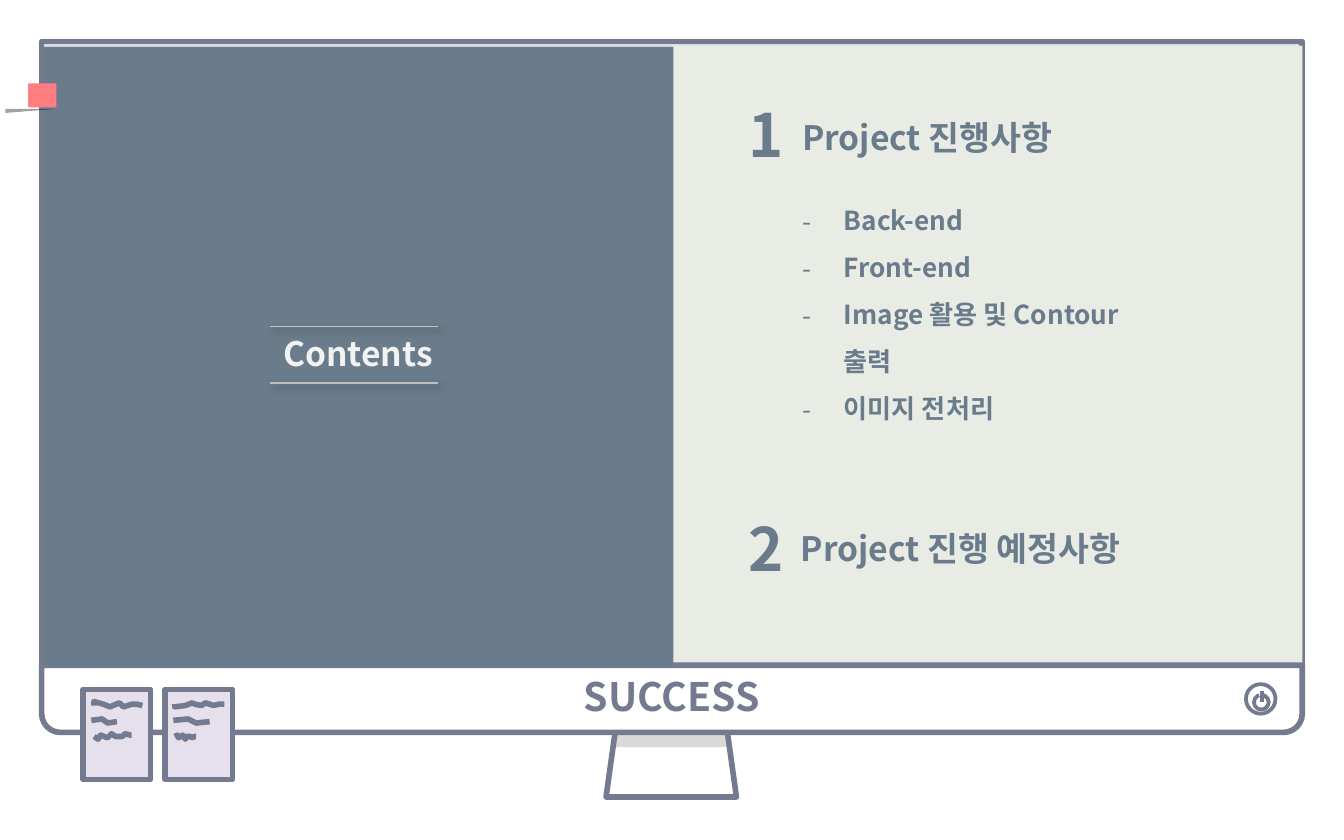
from pptx import Presentation
from pptx.dml.color import RGBColor
from pptx.enum.shapes import MSO_CONNECTOR, MSO_SHAPE
from pptx.enum.text import MSO_ANCHOR, MSO_AUTO_SIZE, PP_ALIGN
from pptx.oxml import parse_xml
from pptx.util import Inches, Pt

RECTANGLE = MSO_SHAPE.RECTANGLE
ROUNDED_PAIR = MSO_SHAPE.ROUND_2_SAME_RECTANGLE
STRAIGHT = MSO_CONNECTOR.STRAIGHT
FONT = "Noto Sans CJK KR"
FRAME, SLATE, WHITE = "747A90", "6A7B8B", "FFFFFF"
NS = 'xmlns:a="http://schemas.openxmlformats.org/drawingml/2006/main"'
NO_EFFECT = f"<a:effectLst {NS}/>"
SHADOW = (
    f'<a:effectLst {NS}><a:outerShdw blurRad="50800" dist="38100" dir="2700000" algn="tl" '
    'rotWithShape="0"><a:srgbClr val="000000"><a:alpha val="40000"/></a:srgbClr>'
    "</a:outerShdw></a:effectLst>"
)
hex_color = RGBColor.from_string

deck = Presentation()
deck.slide_width, deck.slide_height = Inches(10), Inches(6.25)
page = deck.slides.add_slide(deck.slide_layouts[6])


def add_block(kind, at, fill=None, line=None, width=3, adjust=()):
    block = page.shapes.add_shape(kind, *[Inches(v) for v in at])
    block.shadow.inherit = False
    if fill:
        block.fill.solid()
        block.fill.fore_color.rgb = hex_color(fill)
    else:
        block.fill.background()
    if line:
        block.line.color.rgb = hex_color(line)
        block.line.width = Pt(width)
    else:
        block.line.fill.background()
    for index, value in enumerate(adjust):
        block.adjustments[index] = value
    return block


def add_span(para, text, size, color, shadow=True):
    span = para.add_run()
    span.text = text
    span.font.size = Pt(size)
    span.font.bold = True
    span.font.name = FONT
    span.font.color.rgb = hex_color(color)
    latin = span.font._element.find("{*}latin")
    latin.addnext(parse_xml(f'<a:ea {NS} typeface="{FONT}"/>'))
    if shadow:
        latin.addprevious(parse_xml(SHADOW))


# Monitor stand, shaded under the screen
stand = add_block(MSO_SHAPE.TRAPEZOID, (4.51, 5.25, 0.97, 0.68), WHITE, FRAME, adjust=[0.14])
stand.fill.gradient()
stand.fill.gradient_angle = 90
for stop, position, color in zip(stand.fill.gradient_stops, (0.54, 0.55), (WHITE, "D9D9D9")):
    stop.position = position
    stop.color.rgb = hex_color(color)

# Screen, right panel and bottom bar
add_block(ROUNDED_PAIR, (0.31, 0.31, 9.38, 4.64), "DADCE8", FRAME, adjust=[0, 0])
add_block(RECTANGLE, (5, 0.34, 4.69, 4.6), "E8ECE5")
bar = add_block(ROUNDED_PAIR, (0.31, 4.95, 9.38, 0.5), WHITE, FRAME, adjust=[0, 0.28])
bar.text_frame.vertical_anchor = MSO_ANCHOR.MIDDLE
bar_para = bar.text_frame.paragraphs[0]
bar_para.alignment = PP_ALIGN.CENTER
add_span(bar_para, "SUCCESS", 21, FRAME, shadow=False)

# Power button: arc angles in degrees, open at the top
add_block(MSO_SHAPE.OVAL, (9.27, 5.09, 0.22, 0.22), WHITE, FRAME, 2)
add_block(MSO_SHAPE.ARC, (9.33, 5.17, 0.11, 0.11), None, FRAME, 2,
          [degrees * 0.6 for degrees in (287, 253)])

# Left panel and bookmark tab
add_block(RECTANGLE, (0.32, 0.35, 4.69, 4.6), SLATE)
add_block(RECTANGLE, (0.21, 0.62, 0.21, 0.18), "FF7C80")
add_block(RECTANGLE, (0, 0.62, 0.21, 0.18), WHITE)
fold = add_block(MSO_SHAPE.RIGHT_TRIANGLE, (0.04, 0.81, 0.38, 0.03), "000000")
fold.rotation = 180
fold._element.spPr.find("{*}xfrm").set("flipH", "1")
fold_color = fold._element.spPr.find("{*}solidFill")[0]
fold_color.append(parse_xml(f'<a:alpha {NS} val="37000"/>'))

# Sticky notes with scribbled lines
notes = {
    0.62: [
        [(0.7, 5.25), (0.7, 5.22), (0.77, 5.24), (0.82, 5.26), (0.84, 5.25), (0.89, 5.23),
         (0.92, 5.26), (0.98, 5.24), (1.02, 5.24), (1.06, 5.25)],
        [(0.68, 5.36), (0.76, 5.35), (0.8, 5.38), (0.87, 5.37)],
        [(0.7, 5.48), (0.73, 5.5), (0.75, 5.47), (0.8, 5.49), (0.83, 5.46), (0.86, 5.48),
         (0.91, 5.48), (0.93, 5.46), (0.97, 5.47), (0.98, 5.47)],
    ],
    1.23: [
        [(1.3, 5.24), (1.3, 5.26), (1.38, 5.25), (1.43, 5.23), (1.45, 5.24), (1.5, 5.25),
         (1.53, 5.23), (1.59, 5.25), (1.63, 5.24), (1.67, 5.24)],
        [(1.29, 5.36), (1.4, 5.35), (1.46, 5.38), (1.56, 5.37)],
        [(1.3, 5.48), (1.32, 5.47), (1.33, 5.49), (1.36, 5.47), (1.38, 5.5), (1.39, 5.48),
         (1.42, 5.48), (1.43, 5.49), (1.45, 5.48), (1.46, 5.48)],
    ],
}
for left, scribbles in notes.items():
    add_block(RECTANGLE, (left, 5.13, 0.5, 0.67), "E6E0EC", FRAME)
    for scribble in scribbles:
        points = [(Inches(x), Inches(y)) for x, y in scribble]
        builder = page.shapes.build_freeform(*points[0])
        builder.add_line_segments(points[1:], close=False)
        stroke = builder.convert_to_shape()
        stroke.shadow.inherit = False
        stroke.fill.background()
        stroke.line.color.rgb = hex_color(FRAME)
        stroke.line.width = Pt(3)

# Power button stroke and rules around the title
for ends, color, width, effect in [
    ((9.39, 5.14, 9.39, 5.22), FRAME, 2, NO_EFFECT),
    ((2.01, 2.43, 3.26, 2.43), "BFBFBF", 0.75, SHADOW),
    ((2.01, 2.85, 3.26, 2.85), "BFBFBF", 0.75, SHADOW),
]:
    rule = page.shapes.add_connector(STRAIGHT, *[Inches(v) for v in ends])
    rule.line.color.rgb = hex_color(color)
    rule.line.width = Pt(width)
    rule._element.spPr.append(parse_xml(effect))

# Title, numbers and headings; the last box also holds the list
for at, text, size, color in [
    ((2.01, 2.43, 1.34, 0.4), "Contents", 18, "F2F2F2"),
    ((5.47, 0.68, 0.79, 0.64), "1", 32, SLATE),
    ((5.47, 3.76, 0.79, 0.64), "2", 32, SLATE),
    ((5.86, 3.88, 2.84, 0.4), "Project 진행 예정사항", 18, SLATE),
    ((5.87, 0.82, 2.83, 2.01), "Project 진행사항", 18, SLATE),
]:
    box = page.shapes.add_textbox(*[Inches(v) for v in at])
    box.text_frame.word_wrap = True
    box.text_frame.auto_size = MSO_AUTO_SIZE.SHAPE_TO_FIT_TEXT
    add_span(box.text_frame.paragraphs[0], text, size, color)

# Dashed list under the first heading
topics = ["Back-end", "Front-end", "Image 활용 및 Contour 출력", "이미지 전처리"]
for index, topic in enumerate(topics):
    para = box.text_frame.add_paragraph()
    para.line_spacing = 1.5
    para.space_before = Pt(0 if index else 17)
    properties = para._p.get_or_add_pPr()
    properties.set("marL", str(Inches(0.31)))
    properties.set("indent", str(-Inches(0.31)))
    properties.append(parse_xml(f'<a:buFont {NS} typeface="{FONT}"/>'))
    properties.append(parse_xml(f'<a:buChar {NS} char="-"/>'))
    add_span(para, topic, 14, SLATE)

deck.save("out.pptx")
